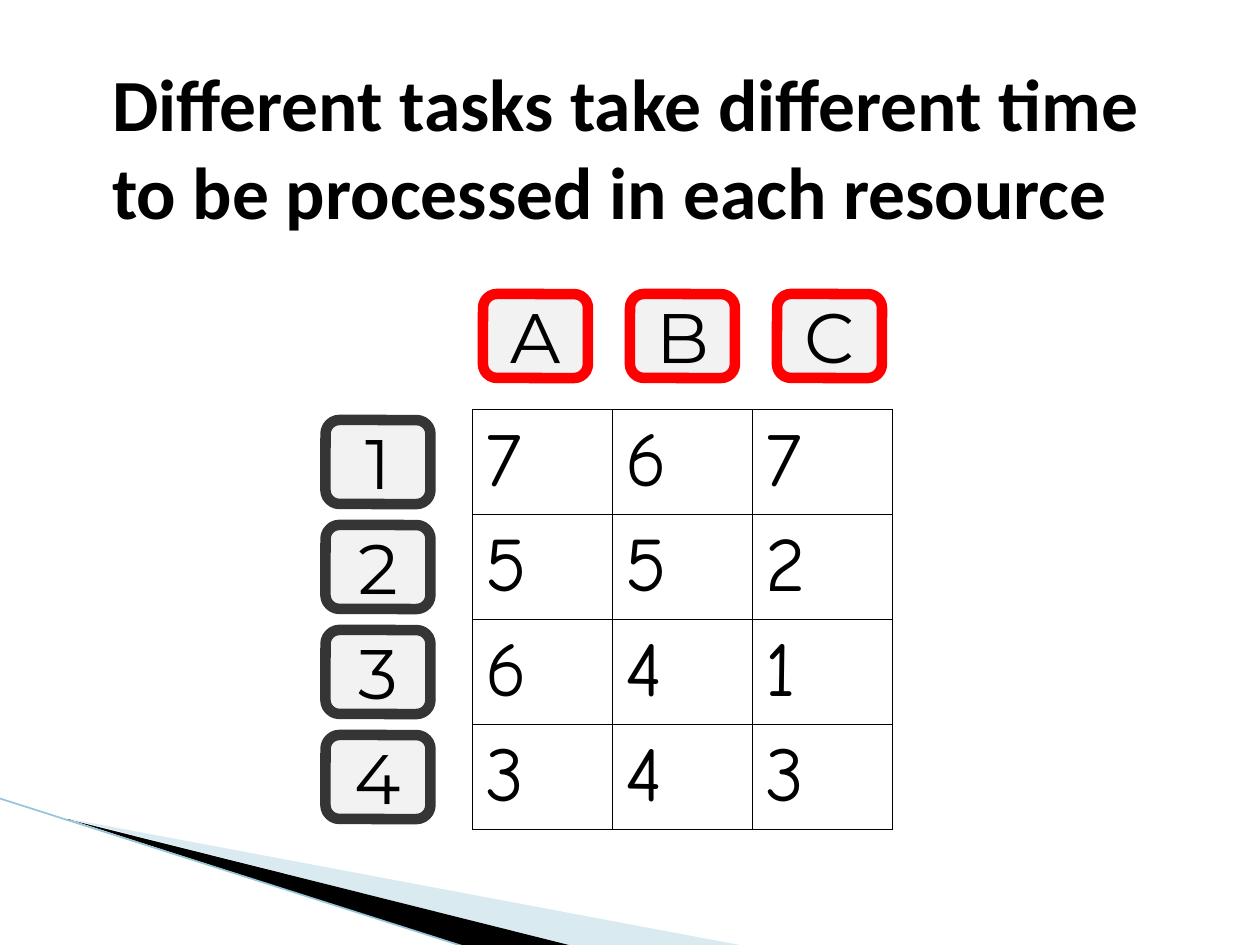
from dataclasses import dataclass

from lxml import etree
from pptx import Presentation
from pptx.dml.color import RGBColor
from pptx.enum.shapes import MSO_CONNECTOR, MSO_SHAPE
from pptx.enum.text import MSO_ANCHOR, PP_ALIGN
from pptx.oxml import parse_xml
from pptx.oxml.ns import nsdecls, qn
from pptx.util import Pt

ROUND_RECT = MSO_SHAPE.ROUNDED_RECTANGLE
STRAIGHT = MSO_CONNECTOR.STRAIGHT
MIDDLE = MSO_ANCHOR.MIDDLE
LEFT, CENTER = PP_ALIGN.LEFT, PP_ALIGN.CENTER
TITLE_ONLY = 5


@dataclass(frozen=True)
class Theme:
    black: str = "000000"
    white: str = "FFFFFF"
    box: str = "F2F2F2"
    task: str = "353535"
    resource: str = "FF0000"
    wedge: str = "A0CBDC"
    edge: str = "97C5D8"
    title_font: str = "Calibri"
    label_font: str = "Montserrat"
    table_font: str = "Comic Neue"
    title_size: int = 42
    label_size: int = 40
    table_size: int = 44


THEME = Theme()

TITLE = ["Different tasks take different time",
         "to be processed in each resource"]
RESOURCES = "ABC"
TASKS = "1234"
TIMES = [[7, 6, 7], [5, 5, 2], [6, 4, 1], [3, 4, 3]]

# Table grid, in points
GRID_LEFT, GRID_TOP, COL_W, ROW_H = 270, 234, 80, 60
BOX_W, BOX_H = 60, 48


def rgb(value):
    return RGBColor.from_string(value)


def apply_format(obj, values):
    for name, value in values.items():
        setattr(obj, name, value)


def write_lines(tf, lines, font, size, align, bold=False):
    for i, line in enumerate(lines):
        p = tf.paragraphs[0] if i == 0 else tf.add_paragraph()
        p.alignment = align
        r = p.add_run()
        r.text = line
        apply_format(r.font, {"name": font, "size": Pt(size), "bold": bold})
        r.font.color.rgb = rgb(THEME.black)


def add_wedge(slide, points, color, alpha=100):
    builder = slide.shapes.build_freeform(*points[0], scale=Pt(1))
    builder.add_line_segments(points[1:], close=True)
    sp = builder.convert_to_shape()
    sp.shadow.inherit = False
    sp.fill.solid()
    sp.fill.fore_color.rgb = rgb(color)
    sp.line.fill.background()
    if alpha < 100:
        clr = sp.fill._xPr.find(".//" + qn("a:srgbClr"))
        etree.SubElement(clr, qn("a:alpha"), val=str(alpha * 1000))


def add_edge(slide, x1, y1, x2, y2):
    line = slide.shapes.add_connector(STRAIGHT, Pt(x1), Pt(y1), Pt(x2), Pt(y2))
    line.line.color.rgb = rgb(THEME.edge)
    line.line.width = Pt(0.95)
    etree.SubElement(line._element.spPr, qn("a:effectLst"))


def add_title(slide):
    sp = slide.shapes.title
    apply_format(sp, {"left": Pt(36), "top": Pt(29.5),
                      "width": Pt(648), "height": Pt(108)})
    tf = sp.text_frame
    apply_format(tf, {"word_wrap": True, "vertical_anchor": MIDDLE,
                      "margin_left": Pt(28)})
    write_lines(tf, TITLE, THEME.title_font, THEME.title_size, LEFT, bold=True)


def add_label(slide, text, left, top, color):
    sp = slide.shapes.add_shape(ROUND_RECT, Pt(left), Pt(top),
                                Pt(BOX_W), Pt(BOX_H))
    sp.shadow.inherit = False
    sp.rotation = 0.1
    sp.fill.solid()
    sp.fill.fore_color.rgb = rgb(THEME.box)
    sp.line.color.rgb = rgb(color)
    sp.line.width = Pt(6)
    tf = sp.text_frame
    apply_format(tf, {"vertical_anchor": MIDDLE, "word_wrap": True,
                      "margin_left": 0, "margin_right": 0,
                      "margin_top": 0, "margin_bottom": 0})
    write_lines(tf, [text], THEME.label_font, THEME.label_size, CENTER)


def set_borders(cell):
    tc_pr = cell._tc.get_or_add_tcPr()
    for i, side in enumerate(("lnL", "lnR", "lnT", "lnB")):
        tc_pr.insert(i, parse_xml(
            f'<a:{side} {nsdecls("a")} w="12700"><a:solidFill>'
            f'<a:srgbClr val="{THEME.black}"/></a:solidFill></a:{side}>'))


def add_times(slide):
    rows, cols = len(TIMES), len(TIMES[0])
    table = slide.shapes.add_table(rows, cols, Pt(GRID_LEFT), Pt(GRID_TOP),
                                   Pt(cols * COL_W), Pt(rows * ROW_H)).table
    apply_format(table, {"first_row": False, "horz_banding": False})
    for col in table.columns:
        col.width = Pt(COL_W)
    for row, values in zip(table.rows, TIMES):
        row.height = Pt(ROW_H)
        for cell, value in zip(row.cells, values):
            cell.vertical_anchor = MIDDLE
            cell.fill.solid()
            cell.fill.fore_color.rgb = rgb(THEME.white)
            set_borders(cell)
            write_lines(cell.text_frame, [str(value)], THEME.table_font,
                        THEME.table_size, LEFT)


def main():
    prs = Presentation()
    prs.slide_width, prs.slide_height = Pt(720), Pt(540)
    slide = prs.slides.add_slide(prs.slide_layouts[TITLE_ONLY])

    # Corner decoration
    add_wedge(slide, [(39.5, 468.5), (428.5, 541), (328.5, 541), (39.5, 468)],
              THEME.wedge, alpha=40)
    add_wedge(slide, [(38, 467.5), (329, 541), (268, 541.5), (39, 468)],
              THEME.black)
    add_edge(slide, -1, 456, 267, 541.5)

    add_title(slide)

    # Task labels beside the rows, resource labels above the columns
    for i, task in enumerate(TASKS):
        add_label(slide, task, 186, 240 + i * ROW_H, THEME.task)
    for i, resource in enumerate(RESOURCES):
        add_label(slide, resource, 276 + i * 84, 168, THEME.resource)

    # Processing times
    add_times(slide)

    prs.save("out.pptx")


if __name__ == "__main__":
    main()
